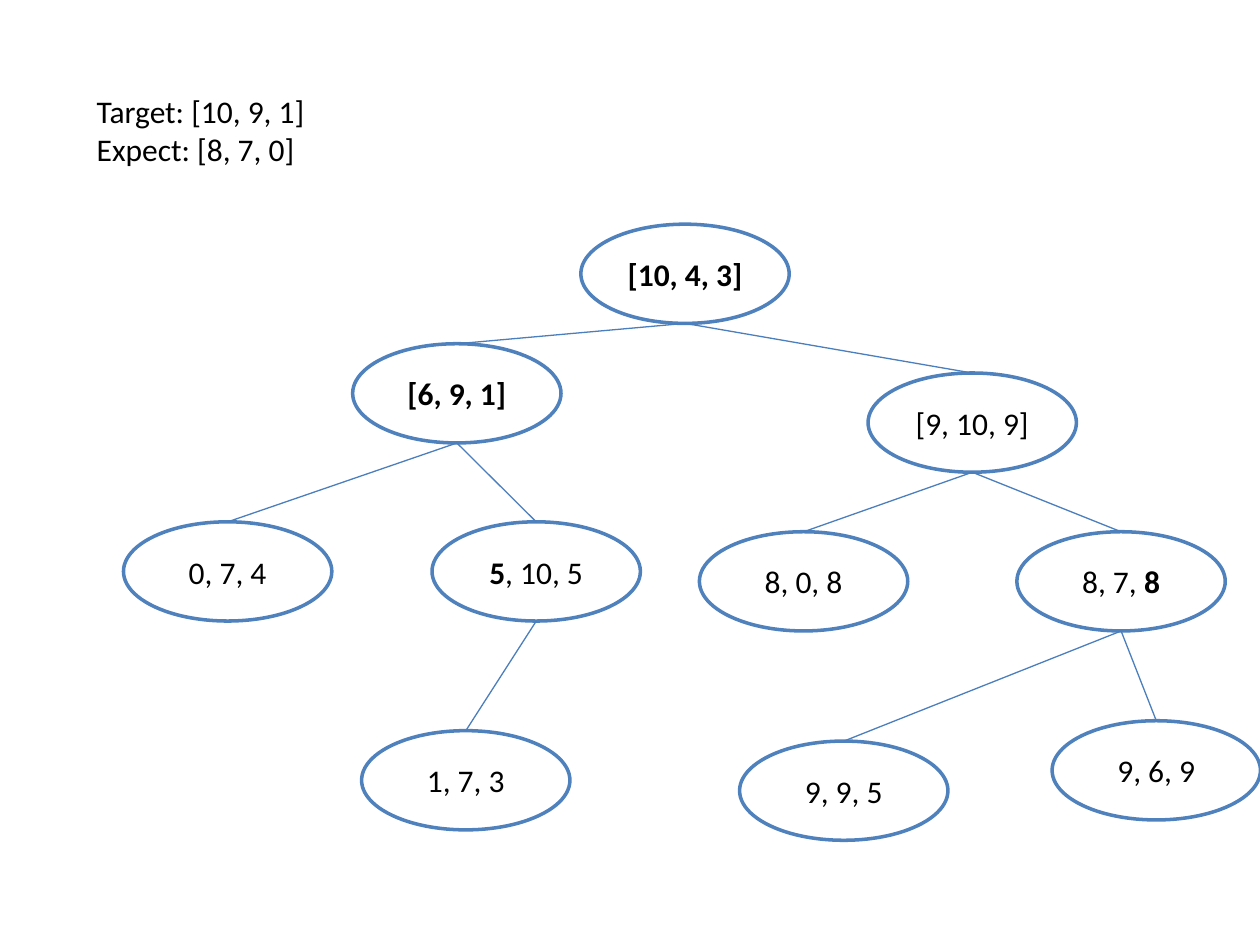
from pptx import Presentation
from pptx import util as u
from pptx.dml.color import RGBColor
from pptx.enum import shapes, text
from pptx.oxml.ns import qn
from lxml import etree

Cm, Pt = u.Cm, u.Pt
COLORS = {"paper": "FFFFFF", "outline": "4F81BD", "branch": "4B7EBC", "ink": "000000"}
FONT, FONT_SIZE = "Calibri", Pt(18)
NODE_WIDTH, NODE_HEIGHT = Cm(4.2), Cm(2)

# Content: node key -> (parent key, left cm, top cm, [(text, bold), ...])
TREE = {
    "root": (None, 11.71, 4.52, [("[10, 4, 3]", True)]),
    "left": ("root", 7.11, 6.93, [("[6, 9, 1]", True)]),
    "right": ("root", 17.5, 7.52, [("[9, 10, 9]", False)]),
    "left-left": ("left", 2.49, 10.52, [("0, 7, 4", False)]),
    "left-right": ("left", 8.71, 10.52, [("5", True), (", 10, 5", False)]),
    "right-left": ("right", 14.1, 10.72, [("8, 0, 8", False)]),
    "right-right": ("right", 20.5, 10.72, [("8, 7, ", False), ("8", True)]),
    "leaf 1": ("left-right", 7.29, 14.73, [("1, 7, 3", False)]),
    "leaf 2": ("right-right", 14.91, 14.94, [("9, 9, 5", False)]),
    "leaf 3": ("right-right", 21.21, 14.53, [("9, 6, 9", False)]),
}
QUERY = ["Target: [10, 9, 1]", "Expect: [8, 7, 0]"]


def color(key):
    return RGBColor.from_string(COLORS[key])


def style(run, bold=False):
    run.font.name, run.font.size, run.font.bold = FONT, FONT_SIZE, bold
    run.font.color.rgb = color("ink")


def add_node(slide, left, top, parts):
    node = slide.shapes.add_shape(
        shapes.MSO_SHAPE.OVAL, Cm(left), Cm(top), NODE_WIDTH, NODE_HEIGHT)
    node.shadow.inherit = False
    node.fill.solid()
    node.fill.fore_color.rgb = color("paper")
    node.line.color.rgb = color("outline")
    node.line.width = Pt(2)
    node.text_frame.vertical_anchor = text.MSO_ANCHOR.MIDDLE
    label = node.text_frame.paragraphs[0]
    label.alignment = text.PP_ALIGN.CENTER
    for wording, bold in parts:
        run = label.add_run()
        run.text = wording
        style(run, bold)
    return node


def add_branch(slide, parent, child):
    branch = slide.shapes.add_connector(
        shapes.MSO_CONNECTOR.STRAIGHT,
        parent.left + NODE_WIDTH // 2, parent.top + NODE_HEIGHT,
        child.left + NODE_WIDTH // 2, child.top)
    branch.line.color.rgb = color("branch")
    branch.line.width = Pt(0.75)
    etree.SubElement(branch._element.spPr, qn("a:effectLst"))


prs = Presentation()
prs.slide_width, prs.slide_height = Cm(25.4), Cm(19.05)
slide = prs.slides.add_slide(prs.slide_layouts[6])

# Tree: nodes first, then the branches from parent bottom to child top
nodes = {key: add_node(slide, left, top, parts)
         for key, (_, left, top, parts) in TREE.items()}
for key, (parent, *_) in TREE.items():
    if parent:
        add_branch(slide, nodes[parent], nodes[key])

# Query and expected answer
query = slide.shapes.add_textbox(Cm(1.7), Cm(1.73), Cm(10), Cm(1.8)).text_frame
query.word_wrap = True
query.auto_size = text.MSO_AUTO_SIZE.SHAPE_TO_FIT_TEXT
query.text = "\n".join(QUERY)
for line in query.paragraphs:
    style(line.runs[0])

prs.save("out.pptx")
